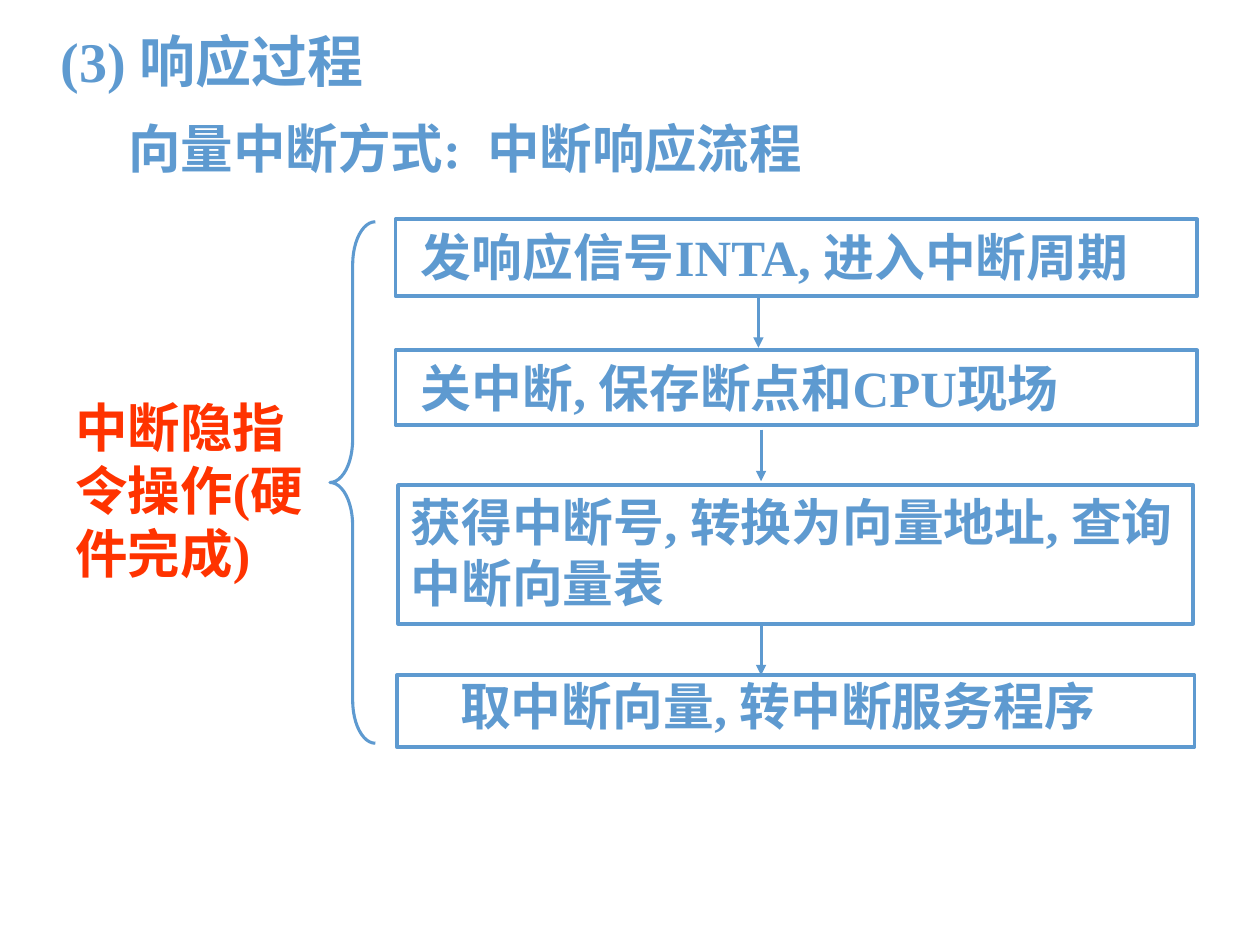
from lxml.etree import SubElement
from pptx import Presentation
from pptx.dml.color import RGBColor
from pptx.enum.shapes import MSO_CONNECTOR as Connector, MSO_SHAPE as Shape
from pptx.enum.text import MSO_ANCHOR as Anchor, MSO_AUTO_SIZE as AutoSize, PP_ALIGN as Align
from pptx.oxml.ns import qn
from pptx.util import Pt

COLORS = {"blue": "5E9AD0", "red": "FF3300"}
FONT = "Times New Roman"
INSET = 7.2


def color(name):
    return RGBColor.from_string(COLORS[name])


def write(shape, words, size, ink="blue", indent=0, spacing=None):
    """Fill a shape with one bold paragraph; words are (text, tracking) pairs."""
    frame = shape.text_frame
    frame.word_wrap = True
    frame.auto_size = AutoSize.SHAPE_TO_FIT_TEXT
    frame.vertical_anchor = Anchor.TOP
    frame.margin_left = Pt(INSET + indent)
    para = frame.paragraphs[0]
    para.alignment = Align.LEFT
    para.line_spacing = spacing
    for text, tracking in words:
        span = para.add_run()
        span.text = text
        span.font.name = FONT
        span.font.size = Pt(size)
        span.font.bold = True
        span.font.color.rgb = color(ink)
        if tracking:
            span.font._element.set("spc", str(tracking * 100))


def add_label(page, left, top, width, height, words, size, **style):
    box = page.shapes.add_textbox(Pt(left), Pt(top), Pt(width), Pt(height))
    write(box, words, size, **style)


def add_outline(page, kind, left, top, width, height, weight):
    shape = page.shapes.add_shape(kind, Pt(left), Pt(top), Pt(width), Pt(height))
    shape.shadow.inherit = False
    shape.fill.background()
    shape.line.color.rgb = color("blue")
    shape.line.width = Pt(weight)
    return shape


def add_step(page, left, top, width, height, text, **style):
    box = add_outline(page, Shape.RECTANGLE, left, top, width, height, 2.25)
    write(box, [(text, 0)], 29, **style)


def add_arrow(page, x, top, bottom):
    arrow = page.shapes.add_connector(
        Connector.STRAIGHT, Pt(x), Pt(top), Pt(x), Pt(bottom))
    arrow.line.color.rgb = color("blue")
    arrow.line.width = Pt(1.75)
    SubElement(arrow.line._get_or_add_ln(), qn("a:tailEnd"), type="triangle")
    SubElement(arrow._element.spPr, qn("a:effectLst"))


def main():
    deck = Presentation()
    deck.slide_width, deck.slide_height = Pt(720), Pt(540)
    page = deck.slides.add_slide(deck.slide_layouts[6])

    # Headings
    add_label(page, 27.4, 11.5, 234, 45.4, [("(3) 响应过程", 0)], 32)
    add_label(page, 51.1, 62.6, 464.4, 43.2,
              [("向量中断方式:", 0), (" ", 7.5), ("中断响应流程", 0)], 30, indent=15)

    # Steps of the interrupt response
    add_step(page, 226, 125.3, 458, 43.9, "发响应信号INTA, 进入中断周期", indent=7.25)
    add_step(page, 226, 200.2, 458, 42.5, "关中断, 保存断点和CPU现场", indent=7.25)
    add_step(page, 227.5, 277.2, 454.3, 79.2, "获得中断号, 转换为向量地址, 查询中断向量表")
    add_step(page, 226.8, 385.9, 455.8, 41, "取中断向量, 转中断服务程序",
             indent=29, spacing=0.9)

    # Arrows between the steps
    for x, top, bottom in [(433.4, 168.5, 198.7), (434.9, 245.5, 275), (434.9, 355.7, 385.9)]:
        add_arrow(page, x, top, bottom)

    # Brace and its label
    brace = add_outline(page, Shape.LEFT_BRACE, 188.6, 126.7, 25.9, 298, 1.75)
    brace.adjustments[0] = 0.95
    brace.adjustments[1] = 0.5
    add_label(page, 36, 222.5, 159.8, 115.2,
              [("中断隐指令操作(硬件完成)", 0)], 30, ink="red")

    deck.save("out.pptx")


if __name__ == "__main__":
    main()
